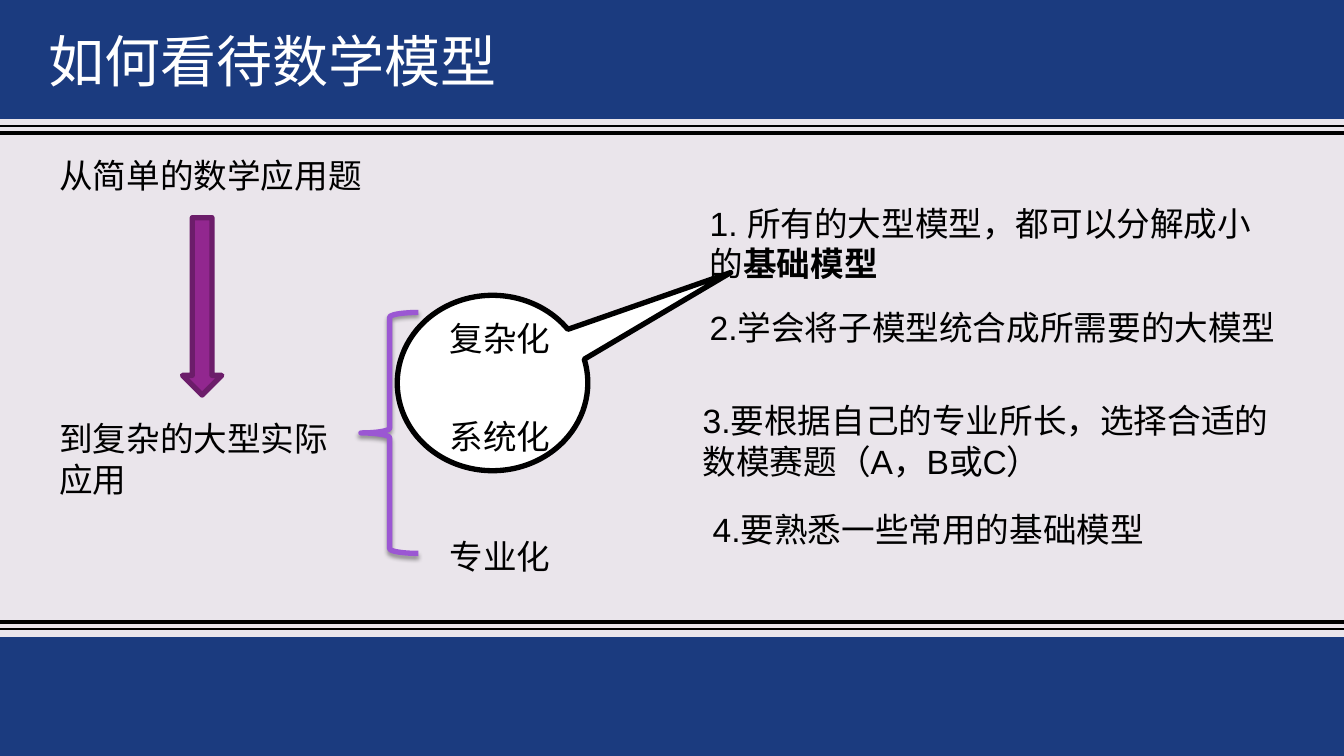
from dataclasses import dataclass

from pptx import Presentation
from pptx import util as u
from pptx.dml.color import RGBColor
from pptx.enum import shapes, text
from pptx.oxml import parse_xml
from pptx.oxml.ns import nsdecls


@dataclass(frozen=True)
class Theme:
    background: str = "EAE5EB"
    band: str = "1B3B7F"
    ink: str = "000000"
    paper: str = "FFFFFF"
    arrow: str = "92278F"
    arrow_edge: str = "6C1D6A"
    brace: str = "9B57D3"
    latin: str = "Arial"
    asian: str = "Noto Sans CJK SC"
    title_size: int = 40
    body_size: int = 24
    thick: float = 3
    thin: float = 1
    outline: float = 3.8


PX = 9144
WIDTH, HEIGHT = 1333, 750
SHADOW = (
    f'<a:effectLst {nsdecls("a")}><a:outerShdw blurRad="39370" dist="25400" dir="5400000" rotWithShape="0">'
    '<a:srgbClr val="000000"><a:alpha val="38000"/></a:srgbClr></a:outerShdw></a:effectLst>'
)


def rgb(value):
    return RGBColor.from_string(value)


def write(p, content, size, color, latin, asian, bold=None):
    r = p.add_run()
    r.text = content
    r.font.size = u.Pt(size)
    r.font.name = latin
    r.font.bold = bold
    r.font.color.rgb = rgb(color)
    r.font._element.append(parse_xml(f'<a:ea {nsdecls("a")} typeface="{asian}"/>'))


class Builder:
    def __init__(self, prs, theme):
        self.theme = theme
        self.s = prs.slides.add_slide(prs.slide_layouts[5])
        fill = self.s.background.fill
        fill.solid()
        fill.fore_color.rgb = rgb(theme.background)

    def rule(self, y, weight):
        line = self.s.shapes.add_connector(
            shapes.MSO_CONNECTOR.STRAIGHT, 0, y * PX, WIDTH * PX, y * PX)
        line.line.color.rgb = rgb(self.theme.ink)
        line.line.width = u.Pt(weight)
        line.element.spPr.append(parse_xml(f'<a:effectLst {nsdecls("a")}/>'))

    def shape(self, kind, box, fill=None, edge=None, adjust=()):
        sp = self.s.shapes.add_shape(kind, *(n * PX for n in box))
        sp.shadow.inherit = False
        if fill:
            sp.fill.solid()
            sp.fill.fore_color.rgb = rgb(fill)
        else:
            sp.fill.background()
        if edge:
            sp.line.color.rgb = rgb(edge)
            sp.line.width = u.Pt(self.theme.outline)
            sp.line._get_or_add_ln().append(parse_xml(f'<a:round {nsdecls("a")}/>'))
        else:
            sp.line.fill.background()
        for i, value in enumerate(adjust):
            sp.adjustments[i] = value
        return sp

    def shade(self, sp):
        sp.shadow.inherit = True
        sp.element.spPr.append(parse_xml(SHADOW))

    def title(self, content, box):
        t = self.theme
        sp = self.s.shapes.title
        sp.left, sp.top, sp.width, sp.height = (n * PX for n in box)
        sp.element.getparent().append(sp.element)
        tf = sp.text_frame
        tf.word_wrap = True
        tf.auto_size = text.MSO_AUTO_SIZE.NONE
        tf.vertical_anchor = text.MSO_ANCHOR.TOP
        p = tf.paragraphs[0]
        p.alignment = text.PP_ALIGN.LEFT
        write(p, content, t.title_size, t.paper, t.asian, t.asian)

    def label(self, content, box, strong=None):
        t = self.theme
        tf = self.s.shapes.add_textbox(*(n * PX for n in box)).text_frame
        tf.word_wrap = True
        p = tf.paragraphs[0]
        write(p, content, t.body_size, t.ink, t.latin, t.asian)
        if strong:
            write(p, strong, t.body_size, t.ink, t.latin, t.asian, bold=True)


def main():
    prs = Presentation()
    prs.slide_width, prs.slide_height = WIDTH * PX, HEIGHT * PX
    theme = Theme()
    b = Builder(prs, theme)
    kind = shapes.MSO_SHAPE

    for y, weight in ((617, theme.thick), (624, theme.thin), (132, theme.thick), (125, theme.thin)):
        b.rule(y, weight)
    for top in (HEIGHT - 118, 0):
        b.shape(kind.RECTANGLE, (0, top, WIDTH, 118), fill=theme.band)

    b.shape(kind.OVAL_CALLOUT, (394, 293, 189, 174), theme.paper, theme.ink, (1.25, -0.63))
    b.title("如何看待数学模型", (38, 21, 612, 77))

    b.label("从简单的数学应用题", (49, 149, 337, 50))
    b.label("到复杂的大型实际应用", (49, 410, 300, 91))
    b.shape(kind.DOWN_ARROW, (181, 216, 39, 176), theme.arrow, theme.arrow_edge)
    b.shade(b.shape(kind.LEFT_BRACE, (358, 310, 57, 239), edge=theme.brace))

    for trend, top, width in (("复杂化", 310, 231), ("系统化", 408, 231), ("专业化", 527, 147)):
        b.label(trend, (436, top, width, 50))

    advice = (
        ("1. 所有的大型模型，都可以分解成小的", "基础模型", (694, 196, 558, 91)),
        ("2.学会将子模型统合成所需要的大模型", None, (694, 300, 595, 50)),
        ("3.要根据自己的专业所长，选择合适的数模赛题（A，B或C）", None, (687, 392, 602, 91)),
        ("4.要熟悉一些常用的基础模型", None, (697, 500, 602, 50)),
    )
    for content, strong, box in advice:
        b.label(content, box, strong=strong)

    prs.save("out.pptx")


if __name__ == "__main__":
    main()
